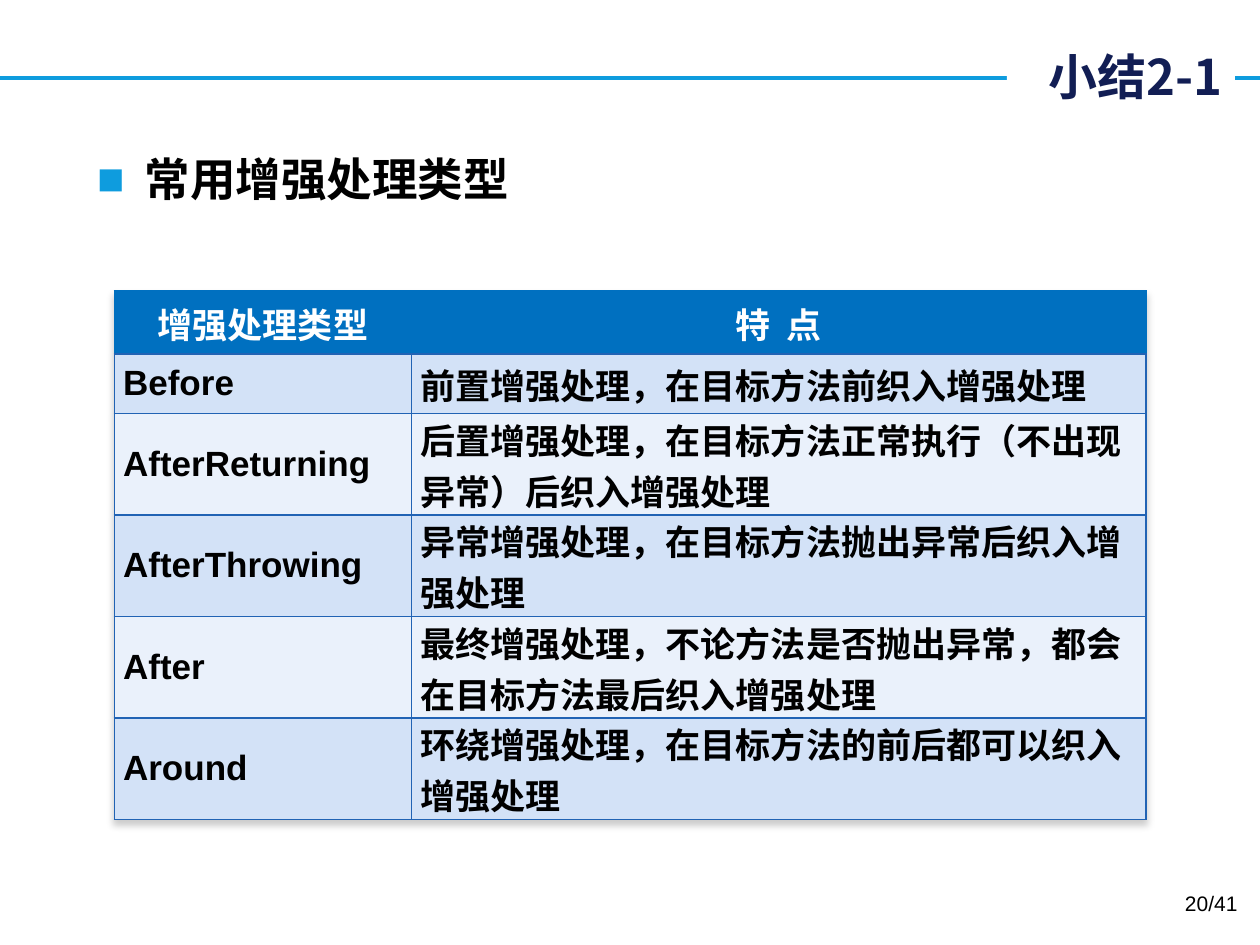
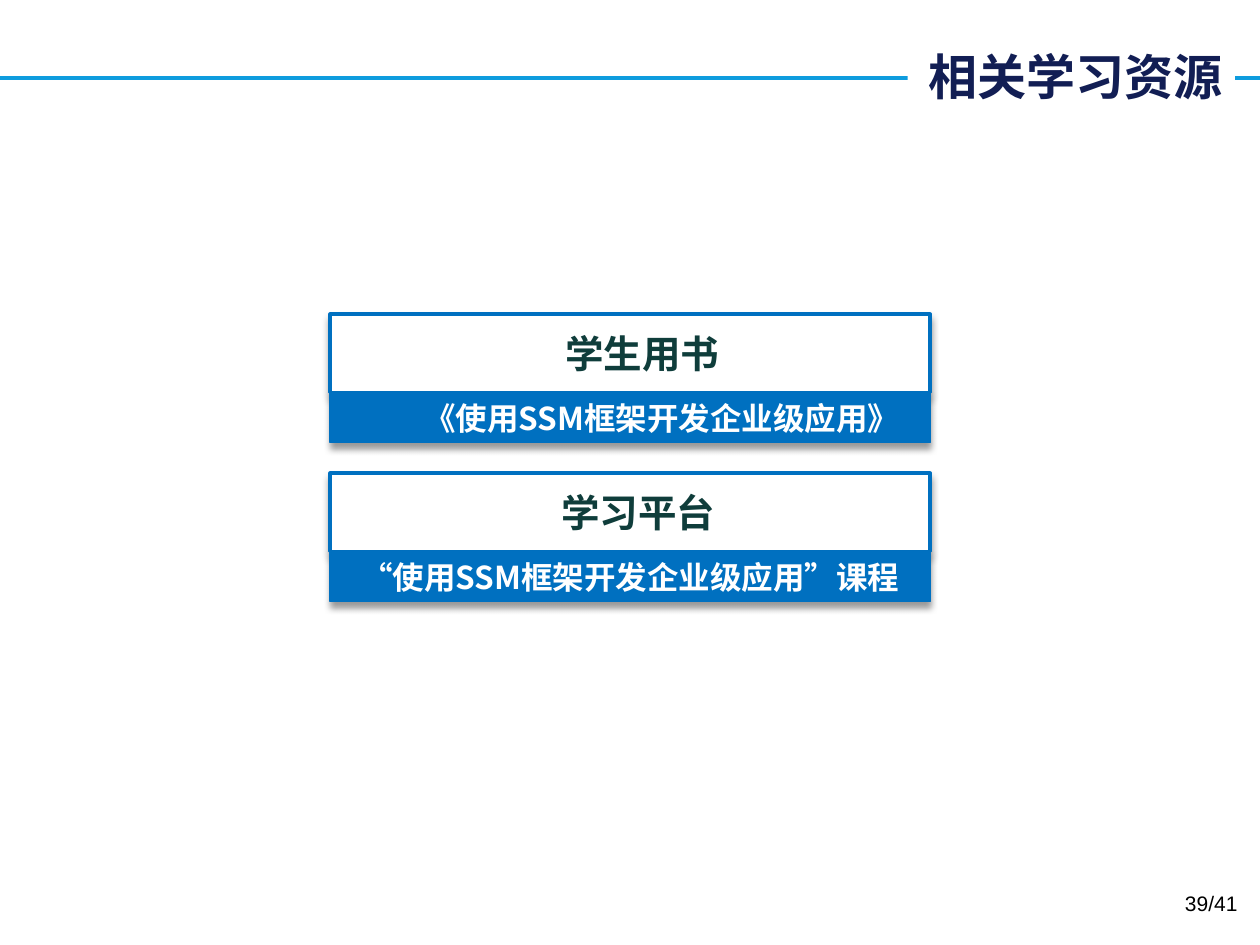
from dataclasses import dataclass
from typing import NamedTuple

from lxml.etree import SubElement as Sub
from pptx import Presentation
from pptx.dml.color import RGBColor
from pptx.enum.shapes import MSO_CONNECTOR as Link, MSO_SHAPE as Shape
from pptx.enum.text import MSO_ANCHOR as Anchor, MSO_AUTO_SIZE as Fit, PP_ALIGN as Align
from pptx.oxml.ns import qn
from pptx.util import Emu, Inches, Pt

WIDE, HIGH = Inches(10), Inches(7.5)
SANS, CJK = "Arial", "Noto Sans CJK SC"
WHITE, BLACK = "FFFFFF", "000000"
SKY, BLUE, NAVY, TEAL = "0E9CDE", "0070C0", "121E54", "0F3D3B"
EDGE, PALE, FAINT = "2163B4", "D3E2F7", "EAF1FB"
RULE_Y = 8.3


class Box(NamedTuple):
    """Left, top, width and height in percent of the slide."""
    x: float
    y: float
    w: float
    h: float

    def emu(self) -> tuple:
        return across(self.x), down(self.y), across(self.w), down(self.h)


class Style(NamedTuple):
    size: float
    color: str
    font: str = CJK
    bold: bool = True


class Bit(NamedTuple):
    """A run of text, with extra letter spacing in points."""
    text: str
    gap: float = 0


class Indent(NamedTuple):
    """Left margin and first-line shift in inches."""
    left: float = 0
    first: float = 0


@dataclass
class Card:
    head: str
    head_in: Indent
    note: str
    note_in: Indent


HEAD = Style(28, NAVY)
LIST = Style(26, BLACK, SANS)
PAGE = Style(12, BLACK, SANS, False)
TOP = Style(20, WHITE, SANS)
CELL = Style(20, BLACK, SANS)
NAME = Style(22, TEAL)
NOTE = Style(18, WHITE)

COLS = (2.36, 5.83)
TALL = (36, 34, 58, 58, 58, 58)
ROWS = (
    ("Before", "前置增强处理，在目标方法前织入增强处理"),
    ("AfterReturning", "后置增强处理，在目标方法正常执行（不出现异常）后织入增强处理"),
    ("AfterThrowing", "异常增强处理，在目标方法抛出异常后织入增强处理"),
    ("After", "最终增强处理，不论方法是否抛出异常，都会在目标方法最后织入增强处理"),
    ("Around", "环绕增强处理，在目标方法的前后都可以织入增强处理"),
)
CARDS = (
    Card("学生用书", Indent(0.19), "《使用SSM框架开发企业级应用》", Indent(0.81, -0.31)),
    Card("学习平台", Indent(0.13), "“使用SSM框架开发企业级应用”课程", Indent(0.31, -0.31)),
)


def across(share: float) -> Emu:
    return Emu(round(WIDE * share / 100))


def down(share: float) -> Emu:
    return Emu(round(HIGH * share / 100))


def rgb(code: str) -> RGBColor:
    return RGBColor.from_string(code)


def paint(fill, code: str) -> None:
    fill.solid()
    fill.fore_color.rgb = rgb(code)


def node(parent, tag: str, **attrs):
    return Sub(parent, qn(f"a:{tag}"), {k: str(v) for k, v in attrs.items()})


def tint(parent, code: str):
    return node(node(parent, "solidFill"), "srgbClr", val=code)


def write(frame, bits: list[Bit], style: Style, align=Align.LEFT,
          indent: Indent = Indent(), before: int = 0):
    """Fill the first paragraph run by run and return its properties."""
    para = frame.paragraphs[0]
    para.alignment = align
    props = para._p.get_or_add_pPr()
    props.set("marL", str(Inches(indent.left)))
    props.set("indent", str(Inches(indent.first)))
    if before:
        node(node(props, "spcBef"), "spcPct", val=before * 1000)
    for bit in bits:
        run = para.add_run()
        run.text = bit.text
        font = run.font
        font.size, font.bold, font.name = Pt(style.size), style.bold, style.font
        font.color.rgb = rgb(style.color)
        mark = run._r.get_or_add_rPr()
        node(mark, "ea", typeface=CJK)
        if bit.gap:
            mark.set("spc", str(round(bit.gap * 100)))
    return props


def shade(parent, alpha: int = 40):
    """Add a soft shadow that falls straight down."""
    fx = node(parent, "effectLst")
    drop = node(fx, "outerShdw", blurRad=Pt(4), dist=Pt(3), dir=90 * 60000,
                algn="t", rotWithShape=0)
    node(node(drop, "srgbClr", val=BLACK), "alpha", val=alpha * 1000)
    return fx


def place(shape, box: Box) -> None:
    shape.left, shape.top, shape.width, shape.height = box.emu()


def start(deck, layout: int, title: str, left: float, page: str):
    """Add a slide with its rule, title and page number."""
    slide = deck.slides.add_slide(deck.slide_layouts[layout])
    head = slide.shapes.title
    place(head, Box(left, 4.25, 98 - left, 7.6))
    paint(head.fill, WHITE)
    frame = head.text_frame
    frame.auto_size, frame.vertical_anchor = Fit.NONE, Anchor.MIDDLE
    write(frame, [Bit(title)], HEAD, Align.RIGHT)

    rule = slide.shapes.add_connector(Link.STRAIGHT, 0, down(RULE_Y), WIDE, down(RULE_Y))
    rule.line.color.rgb, rule.line.width = rgb(SKY), Pt(2.25)
    node(rule.element.spPr, "effectLst")
    head.element.addprevious(rule.element)

    foot = slide.shapes.add_textbox(*Box(75.9, 93.6, 23.3, 5.33).emu()).text_frame
    foot.word_wrap = True
    write(foot, [Bit(page)], PAGE, Align.RIGHT)
    return slide


def border(cell, code: str) -> None:
    props = cell._tc.get_or_add_tcPr()
    for at, side in enumerate(("lnL", "lnR", "lnT", "lnB")):
        line = node(props, side, w=Pt(1))
        tint(line, code)
        props.insert(at, line)


def grid(slide):
    """Draw the table of advice types."""
    box = Box(9.07, 30.8, 81.9, 55.93)
    shape = slide.shapes.add_table(len(ROWS) + 1, len(COLS), *box.emu())
    table = shape.table
    table.horz_banding = False
    for col, size in zip(table.columns, COLS):
        col.width = Inches(size)
    for row, size in zip(table.rows, TALL):
        row.height = Pt(size)
    props = table._tbl.tblPr
    props.insert(0, shade(props, 20))

    heads = ([Bit("增强处理类型")], [Bit("特"), Bit(" ", 4.6), Bit("点")])
    for cell, bits in zip(table.rows[0].cells, heads):
        paint(cell.fill, BLUE)
        border(cell, BLUE)
        write(cell.text_frame, bits, TOP, Align.CENTER, before=20)
    for at, texts in enumerate(ROWS, 1):
        for cell, text in zip(table.rows[at].cells, texts):
            paint(cell.fill, PALE if at % 2 else FAINT)
            border(cell, EDGE)
            cell.vertical_anchor = Anchor.MIDDLE
            cell.margin_left = cell.margin_right = Inches(0.07)
            cell.margin_top = cell.margin_bottom = 0
            write(cell.text_frame, [Bit(text)], CELL, before=20)
    return shape


def panel(slide, box: Box, fill: str, width: float, text: str,
          style: Style, indent: Indent, before: int = 0) -> None:
    shape = slide.shapes.add_shape(Shape.RECTANGLE, *box.emu())
    paint(shape.fill, fill)
    shape.line.color.rgb, shape.line.width = rgb(BLUE), Pt(width)
    shade(shape.element.spPr)
    frame = shape.text_frame
    frame.word_wrap, frame.vertical_anchor = True, Anchor.MIDDLE
    write(frame, [Bit(text)], style, Align.CENTER, indent, before)


def recap(deck) -> None:
    slide = start(deck, 1, "小结2-1", 79.9, "20/41")
    body = slide.placeholders[1]
    place(body, Box(6.7, 15.33, 83.6, 74.93))
    props = write(body.text_frame, [Bit("常用增强处理类型")], LIST,
                  indent=Indent(0.38, -0.38), before=20)
    node(node(props, "buClr"), "srgbClr", val=SKY)
    node(props, "buFont", typeface=SANS)
    node(props, "buChar", char="■")
    grid(slide).element.addnext(body.element)


def links(deck) -> None:
    slide = start(deck, 5, "相关学习资源", 72.03, "39/41")
    left, top, wide, step, tall = 26.2, 33.25, 47.63, 16.83, 8.27
    for at, card in enumerate(CARDS):
        y = top + at * step
        panel(slide, Box(left, y, wide, tall), WHITE, 2, card.head, NAME, card.head_in)
        panel(slide, Box(left, y + tall, wide, 5.33), BLUE, 0.75,
              card.note, NOTE, card.note_in, 20)


def main() -> None:
    deck = Presentation()
    deck.slide_width, deck.slide_height = WIDE, HIGH
    recap(deck)
    links(deck)
    deck.save("out.pptx")


if __name__ == "__main__":
    main()
